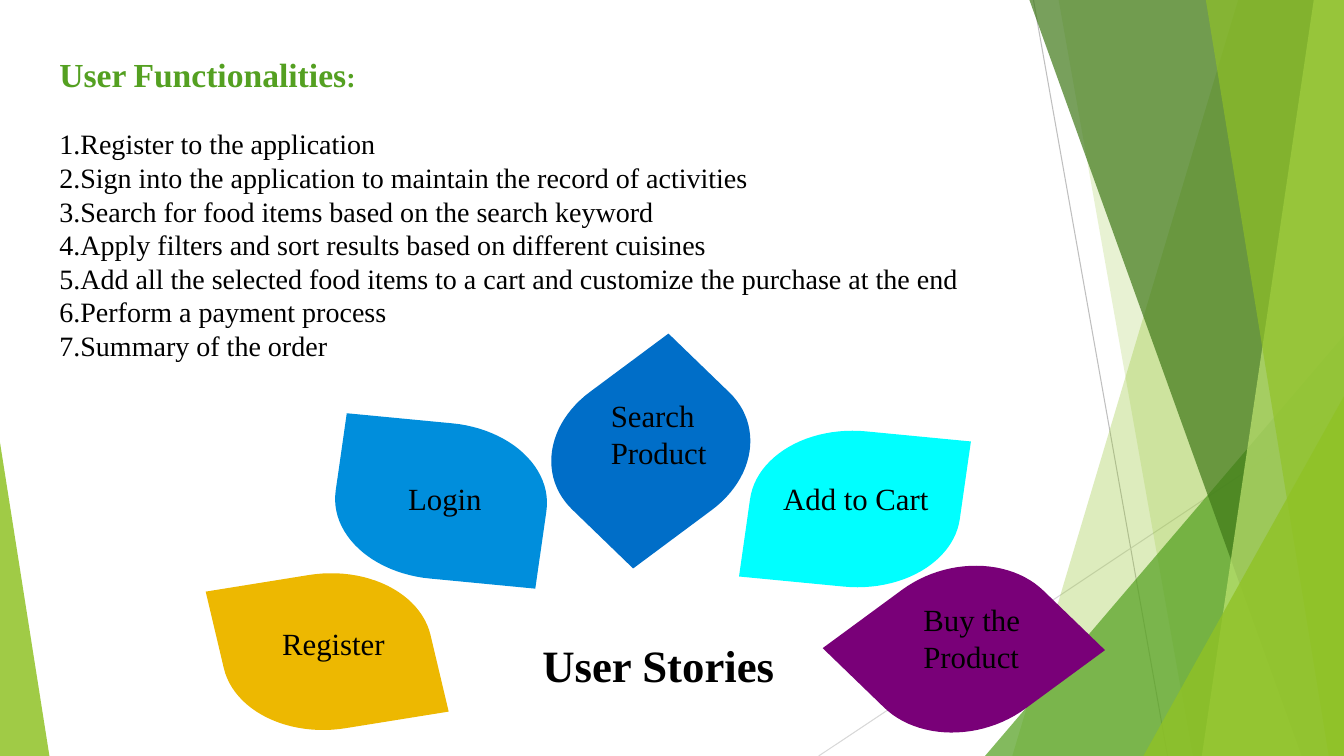
from dataclasses import dataclass
from math import cos, pi, sin

from lxml import etree
from pptx import Presentation
from pptx.dml.color import RGBColor
from pptx.enum.shapes import MSO_CONNECTOR, MSO_SHAPE
from pptx.enum.text import MSO_ANCHOR
from pptx.oxml.ns import qn
from pptx.util import Pt

LINE = MSO_CONNECTOR.STRAIGHT
TRI = MSO_SHAPE.ISOSCELES_TRIANGLE
TOP = MSO_ANCHOR.TOP
PX = 9144  # one px is a hundredth of an inch
WIDE, HIGH = 1333, 750
STEPS = 24  # segments in each petal arc


@dataclass(frozen=True)
class Theme:
    font: str = "Times New Roman"
    head: int = 24
    body: int = 20
    label: int = 22
    title: int = 32
    ink: str = "000000"
    leaf: str = "54A021"
    lime: str = "90C226"
    pale: str = "BFE471"
    moss: str = "3F7818"
    gray: str = "BFBFBF"
    mist: str = "D8D8D8"
    navy: str = "006EC8"
    aqua: str = "00FFFF"
    plum: str = "790078"
    blue: str = "008EDC"
    gold: str = "EDB801"


T = Theme()

ITEMS = [
    "Register to the application",
    "Sign into the application to maintain the record of activities",
    "Search for food items based on the search keyword",
    "Apply filters and sort results based on different cuisines",
    "Add all the selected food items to a cart and customize the purchase at the end",
    "Perform a payment process",
    "Summary of the order",
]

# Two tips and one outer corner of the frame around each petal
PETALS = [
    ((663, 331), (628, 564), (507, 447), T.navy),
    ((963, 438), (733, 572), (941, 592), T.aqua),
    ((816, 643), (1096, 645), (938, 761), T.plum),
    ((344, 410), (531, 584), (322, 564), T.blue),
    ((204, 587), (445, 706), (240, 739), T.gold),
]

LABELS = [
    ((270, 615, 138, 47), ["Register"]),
    ((395, 471, 113, 47), ["Login"]),
    ((596, 389, 127, 84), ["Search", "Product"]),
    ((767, 471, 173, 47), ["Add to Cart"]),
    ((906, 591, 148, 84), ["Buy the Product"]),
]


def emu(nums):
    return [round(n * PX) for n in nums]


def paint(shape, color, alpha=100):
    shape.shadow.inherit = False
    shape.line.fill.background()
    shape.fill.solid()
    shape.fill.fore_color.rgb = RGBColor.from_string(color)
    if alpha < 100:
        tint = shape.fill._xPr.find(".//" + qn("a:srgbClr"))
        etree.SubElement(tint, qn("a:alpha"), val=str(alpha * 1000))


def rule(slide, start, end, color):
    line = slide.shapes.add_connector(LINE, *emu(start + end))
    line.line.color.rgb = RGBColor.from_string(color)
    line.line.width = Pt(0.75)
    etree.SubElement(line._element.spPr, qn("a:effectLst"))


def free(slide, points, color, alpha=100):
    first, *rest = [emu(point) for point in points]
    path = slide.shapes.build_freeform(*first)
    path.add_line_segments(rest, close=True)
    paint(path.convert_to_shape(), color, alpha)


def shard(slide, top, foot, color, alpha, edge=WIDE):
    """Band from the top to the foot of the slide, out to its right edge."""
    free(slide, [(top, 0), (edge, 0), (edge, HIGH), (foot, HIGH)], color, alpha)


def wedge(slide, box, peak, color, alpha):
    shape = slide.shapes.add_shape(TRI, *emu(box))
    shape.adjustments[0] = peak
    paint(shape, color, alpha)


def petal(slide, a, b, c, color):
    """Two tips joined by matching quarter ellipses inside a parallelogram."""
    mid = [(m + n) / 2 for m, n in zip(a, b)]
    u = [(m - n) / 2 for m, n in zip(c, b)]
    v = [(m - n) / 2 for m, n in zip(c, a)]
    turns = [pi / 2 * i / STEPS for i in range(STEPS + 1)]
    points = []
    for tip, sign in ((a, 1), (b, -1)):
        points.append(tip)
        points += [
            [m + sign * (p * cos(t) + q * sin(t)) for m, p, q in zip(mid, u, v)]
            for t in turns
        ]
    free(slide, points, color)


def frame(slide, box):
    text = slide.shapes.add_textbox(*emu(box)).text_frame
    text.word_wrap = True
    text.vertical_anchor = TOP
    return text


def write(para, words, size=T.body, color=T.ink, bold=False):
    run = para.add_run()
    run.text = words
    run.font.name = T.font
    run.font.size = Pt(size)
    run.font.bold = bold
    run.font.color.rgb = RGBColor.from_string(color)


def decor(slide):
    rule(slide, (1025, 0), (1158, HIGH), T.gray)
    rule(slide, (WIDE, 403), (812, HIGH), T.mist)
    shard(slide, 1228, 1004, T.lime, 30)
    shard(slide, 1050, 1183, T.lime, 20)
    wedge(slide, (977, 333, 356, 417), 1, T.leaf, 72)
    shard(slide, 1021, 1291, T.moss, 70)
    shard(slide, 1303, 1192, T.pale, 70)
    shard(slide, 1196, 1318, T.lime, 65)
    wedge(slide, (1134, 393, 199, 357), 1, T.lime, 80)
    wedge(slide, (0, 439, 49, 311), 0, T.lime, 85)


def listing(slide):
    text = frame(slide, (49, 49, 1137, 330))
    head = text.paragraphs[0]
    for words, size in (("User", T.head), (" ", T.body),
                        ("Functionalities", T.head), (":", T.body)):
        write(head, words, size=size, color=T.leaf, bold=True)
    head.space_after = Pt(23)
    for num, item in enumerate(ITEMS, 1):
        write(text.add_paragraph(), f"{num}.{item}")


def stories(slide):
    for spec in PETALS:
        petal(slide, *spec)
    for box, lines in LABELS:
        text = frame(slide, box)
        for i, words in enumerate(lines):
            para = text.add_paragraph() if i else text.paragraphs[0]
            write(para, words, size=T.label)
    title = frame(slide, (528, 628, 278, 64))
    write(title.paragraphs[0], "User Stories", size=T.title, bold=True)


def main():
    deck = Presentation()
    deck.slide_width, deck.slide_height = emu((WIDE, HIGH))
    slide = deck.slides.add_slide(deck.slide_layouts[6])
    # Backdrop
    decor(slide)
    # Numbered list
    listing(slide)
    # Petals with their labels
    stories(slide)
    deck.save("out.pptx")


if __name__ == "__main__":
    main()
